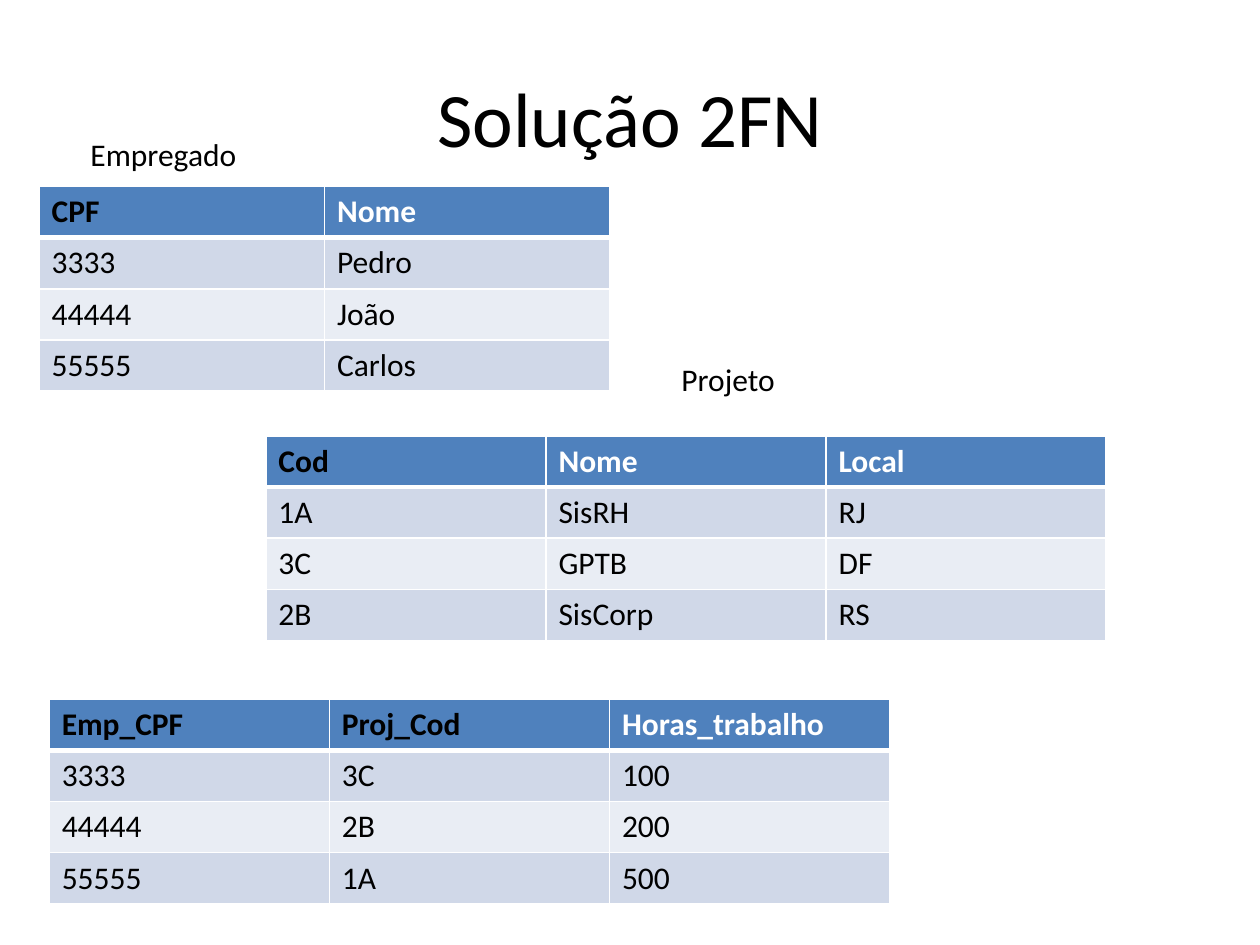
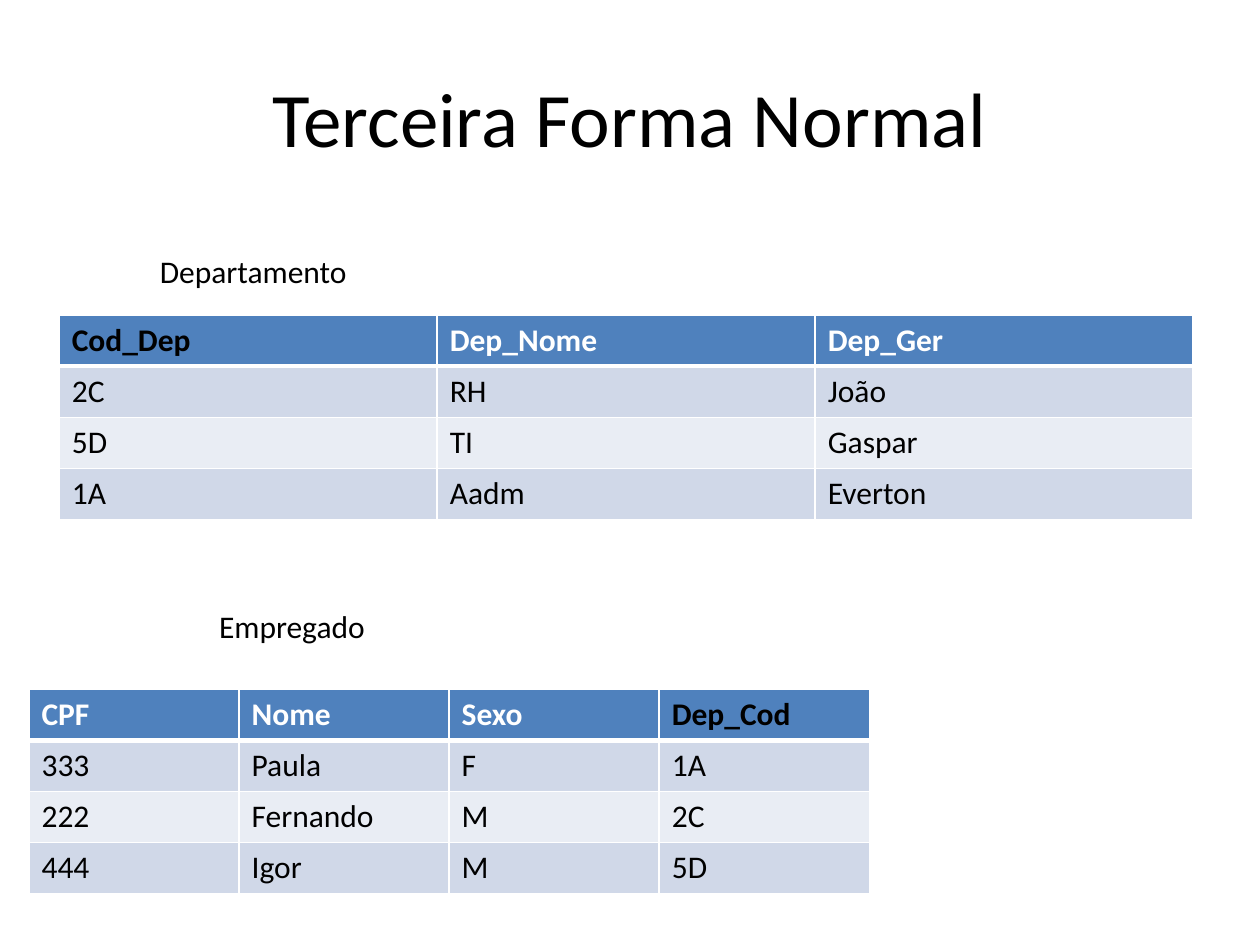
from lxml import etree
from pptx import Presentation
from pptx.dml.color import RGBColor
from pptx.enum.text import MSO_ANCHOR, PP_ALIGN
from pptx.oxml.ns import qn
from pptx.util import Inches, Pt

MIDDLE = MSO_ANCHOR.MIDDLE
CENTER = PP_ALIGN.CENTER
FONT = "Calibri"
BLACK, WHITE, BLUE = "000000", "FFFFFF", "4F81BD"
BANDS = "D0D8E8", "E9EDF4"
WIDE, HIGH = Inches(10), Inches(7.5)
COLS, ROWS = 100, 75
ROW = 4.06
TITLE = 5, 3, 90, 12.5


def color(code):
    """Turn a hex string into a colour."""
    return RGBColor.from_string(code)


def place(box):
    """Turn a box in grid columns and rows into slide lengths."""
    left, top, width, height = box
    return (round(left * WIDE / COLS), round(top * HIGH / ROWS),
            round(width * WIDE / COLS), round(height * HIGH / ROWS))


def write(frame, text, size=18, ink=BLACK, bold=False):
    """Add one run to the first paragraph and return the paragraph."""
    para = frame.paragraphs[0]
    run = para.add_run()
    run.text = text
    run.font.name = FONT
    run.font.size = Pt(size)
    run.font.bold = bold
    run.font.color.rgb = color(ink)
    return para


def add_title(slide, text, box):
    """Fill and place the title placeholder."""
    title = slide.shapes.title
    title.left, title.top, title.width, title.height = place(box)
    title.text_frame.vertical_anchor = MIDDLE
    write(title.text_frame, text, 44).alignment = CENTER


def add_label(slide, text, box):
    """Add the name of a table."""
    frame = slide.shapes.add_textbox(*place(box)).text_frame
    frame.word_wrap = True
    write(frame, text)


def add_edges(cell, row):
    """Draw white cell borders, thick between header and body."""
    props = cell._tc.get_or_add_tcPr()
    thick = {(0, "B"), (1, "T")}
    for side in "LRTB":
        width = Pt(3 if (row, side) in thick else 1)
        line = etree.SubElement(props, qn("a:ln" + side), w=str(width))
        fill = etree.SubElement(line, qn("a:solidFill"))
        etree.SubElement(fill, qn("a:srgbClr"), val=WHITE)


def add_grid(slide, data, keys, box):
    """Add a banded table whose key columns have black headers."""
    count = len(data[0])
    table = slide.shapes.add_table(len(data), count, *place(box)).table
    for col in table.columns:
        col.width = round(place(box)[2] / count)
    for i, values in enumerate(data):
        for j, text in enumerate(values):
            cell = table.cell(i, j)
            head = i == 0
            add_edges(cell, i)
            cell.fill.solid()
            cell.fill.fore_color.rgb = color(BLUE if head else BANDS[(i - 1) % 2])
            ink = WHITE if head and text not in keys else BLACK
            write(cell.text_frame, text, ink=ink, bold=head)


def add_slide(deck, title, labels, grids):
    """Add a slide with a title, table names and tables."""
    slide = deck.slides.add_slide(deck.slide_layouts[5])
    add_title(slide, title, TITLE)
    for text, left, top, width in labels:
        add_label(slide, text, (left, top, width, 4))
    for data, keys, left, top, width in grids:
        add_grid(slide, data, keys, (left, top, width, ROW * len(data)))


STAFF = [("CPF", "Nome"), ("3333", "Pedro"), ("44444", "João "),
         ("55555", "Carlos")]
PROJECTS = [("Cod", "Nome", "Local"), ("1A", "SisRH", "RJ"),
            ("3C", "GPTB", "DF"), ("2B", "SisCorp", "RS")]
HOURS = [("Emp_CPF", "Proj_Cod", "Horas_trabalho"), ("3333", "3C", "100"),
         ("44444", "2B", "200"), ("55555", "1A", "500")]
UNITS = [("Cod_Dep", "Dep_Nome", "Dep_Ger"), ("2C", "RH", "João"),
         ("5D", "TI", "Gaspar "), ("1A ", "Aadm", "Everton")]
PEOPLE = [("CPF", "Nome", "Sexo", "Dep_Cod"), ("333", "Paula", "F", "1A "),
          ("222", "Fernando ", "M", "2C"), ("444", "Igor", "M", "5D")]

deck = Presentation()
deck.slide_width, deck.slide_height = WIDE, HIGH
add_slide(deck, "Solução 2FN",
          [("Empregado", 6.2, 10.2, 26.6), ("Projeto", 53.1, 28.1, 28.9)],
          [(STAFF, {"CPF"}, 3.1, 14.8, 45.3),
           (PROJECTS, {"Cod"}, 21.1, 34.6, 66.7),
           (HOURS, {"Emp_CPF", "Proj_Cod"}, 3.9, 55.5, 66.7)])
add_slide(deck, "Terceira Forma Normal",
          [("Departamento", 11.7, 19.5, 33.6), ("Empregado", 16.4, 47.7, 29.7)],
          [(UNITS, {"Cod_Dep"}, 4.7, 25, 90),
           (PEOPLE, {"Dep_Cod"}, 2.3, 54.7, 66.7)])
deck.save("out.pptx")
